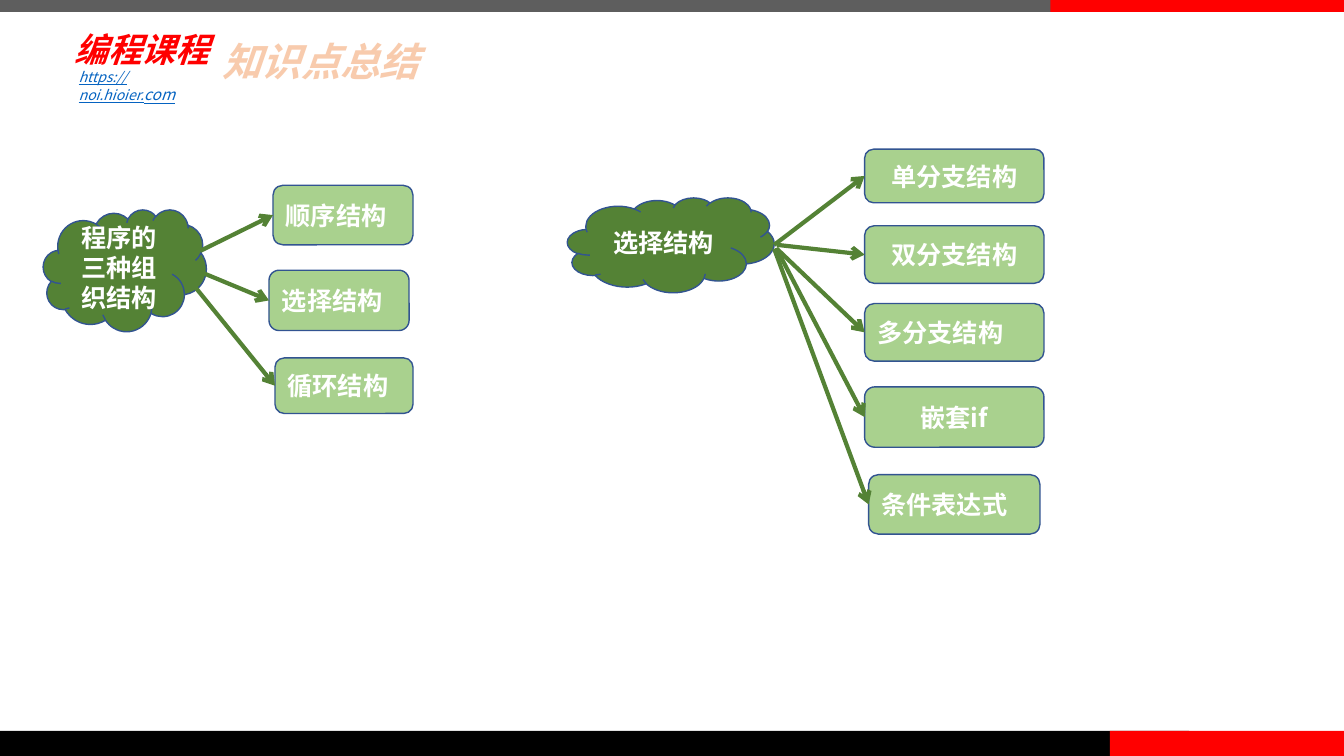
"""Build the summary slide on program structures and branch forms."""
from typing import NamedTuple

from lxml import etree
from pptx import Presentation
from pptx.dml.color import RGBColor
from pptx.enum import shapes, text
from pptx.oxml import ns
from pptx.util import Cm, Pt

GREEN = RGBColor(0x54, 0x82, 0x35)
LIGHT = RGBColor(0xA9, 0xD1, 0x8E)
NAVY = RGBColor(0x32, 0x54, 0x91)
WHITE = RGBColor(0xFF, 0xFF, 0xFF)
PEACH = RGBColor(0xF8, 0xCB, 0xAD)
ORANGE = RGBColor(0xED, 0x7D, 0x31)
GREY = RGBColor(0x5E, 0x5E, 0x5E)
BLACK = RGBColor(0, 0, 0)
RED = RGBColor(0xFF, 0, 0)
LINK = RGBColor(0x05, 0x63, 0xC1)
SANS = "Noto Sans CJK SC"
KIND = shapes.MSO_SHAPE
LEFT, MID = text.PP_ALIGN.LEFT, text.PP_ALIGN.CENTER


class Rect(NamedTuple):
    x: float
    y: float
    w: float
    h: float


class Leaf(NamedTuple):
    label: str
    rect: Rect
    start: tuple[float, float]
    align: text.PP_ALIGN


class Tree(NamedTuple):
    label: str
    rect: Rect
    leaves: list[Leaf]


class Bar(NamedTuple):
    rect: Rect
    color: RGBColor


TREES = [
    Tree("程序的三种组织结构", Rect(1.09, 5.28, 4.11, 3.07), [
        Leaf("顺序结构", Rect(6.88, 4.67, 3.53, 1.5), (5.05, 6.32), LEFT),
        Leaf("选择结构", Rect(6.78, 6.81, 3.53, 1.52), (4.95, 6.81), LEFT),
        Leaf("循环结构", Rect(6.93, 9.02, 3.48, 1.4), (4.9, 7.21), LEFT),
    ]),
    Tree("选择结构", Rect(14.3, 4.98, 5.21, 2.39), [
        Leaf("单分支结构", Rect(21.79, 3.76, 4.52, 1.35), (19.51, 6.17), MID),
        Leaf("双分支结构", Rect(21.79, 5.69, 4.52, 1.45), (19.58, 6.17), MID),
        Leaf("多分支结构", Rect(21.79, 7.65, 4.52, 1.45), (19.58, 6.27), LEFT),
        Leaf("嵌套if", Rect(21.79, 9.75, 4.52, 1.52), (19.56, 6.25), MID),
        Leaf("条件表达式", Rect(21.89, 11.96, 4.32, 1.5), (19.51, 6.27), LEFT),
    ]),
]
BARS = [
    Bar(Rect(0, 0, 27.46, 0.3), GREY),
    Bar(Rect(0, 18.42, 29.97, 0.63), BLACK),
    Bar(Rect(27.97, 18.42, 5.9, 0.63), RED),
    Bar(Rect(26.47, 0, 7.4, 0.3), RED),
]


def place(rect: Rect) -> list[Cm]:
    return [Cm(side) for side in rect]


def write(para, words: str, size: float = 18, color: RGBColor = WHITE,
          face: str = SANS, bold: bool = True, slant: bool = False,
          under: bool = False, align: text.PP_ALIGN = LEFT):
    para.alignment = align
    run = para.add_run()
    run.text = words
    font = run.font
    font.size, font.name = Pt(size), face
    font.bold, font.italic, font.underline = bold, slant, under
    font.color.rgb = color
    east = etree.Element(ns.qn("a:ea"), typeface=face)
    font._element.find(ns.qn("a:latin")).addnext(east)
    return run


def shape(slide, kind: KIND, rect: Rect, fill: RGBColor, edge: RGBColor | None = None):
    form = slide.shapes.add_shape(kind, *place(rect))
    form.shadow.inherit = False
    form.fill.solid()
    form.fill.fore_color.rgb = fill
    if edge is None:
        form.line.fill.background()
    else:
        form.line.color.rgb = edge
        form.line.width = Pt(1)
    return form


def node(slide, kind: KIND, rect: Rect, fill: RGBColor, label: str, align: text.PP_ALIGN) -> None:
    frame = shape(slide, kind, rect, fill, NAVY).text_frame
    frame.word_wrap = True
    frame.vertical_anchor = text.MSO_ANCHOR.MIDDLE
    write(frame.paragraphs[0], label, align=align)


def arrow(slide, start: tuple[float, float], end: tuple[float, float]) -> None:
    ends = [Cm(side) for side in start + end]
    line = slide.shapes.add_connector(shapes.MSO_CONNECTOR.STRAIGHT, *ends)
    line.line.color.rgb = GREEN
    line.line.width = Pt(3)
    etree.SubElement(line.line._get_or_add_ln(), ns.qn("a:tailEnd"), type="arrow")
    etree.SubElement(line._element.spPr, ns.qn("a:effectLst"))


def tree(slide, item: Tree) -> None:
    node(slide, KIND.CLOUD, item.rect, GREEN, item.label, MID)
    for leaf in item.leaves:
        box = leaf.rect
        node(slide, KIND.ROUNDED_RECTANGLE, box, LIGHT, leaf.label, leaf.align)
        arrow(slide, leaf.start, (box.x, box.y + box.h / 2))


def title(slide) -> None:
    head = slide.shapes.title
    head.left, head.top, head.width, head.height = place(Rect(5.36, 0.66, 8.48, 1.88))
    frame = head.text_frame
    frame.word_wrap = True
    frame.auto_size = text.MSO_AUTO_SIZE.NONE
    frame.vertical_anchor = text.MSO_ANCHOR.MIDDLE
    para = frame.paragraphs[0]
    para.line_spacing = 0.9
    run = write(para, "知识点总结", size=28, color=PEACH, slant=True)
    edge = etree.Element(ns.qn("a:ln"), w=str(Pt(1.75)))
    fill = etree.SubElement(edge, ns.qn("a:solidFill"))
    etree.SubElement(fill, ns.qn("a:srgbClr"), val=str(ORANGE))
    run.font._element.insert(0, edge)


def label(slide, rect: Rect):
    frame = slide.shapes.add_textbox(*place(rect)).text_frame
    frame.word_wrap = True
    frame.auto_size = text.MSO_AUTO_SIZE.SHAPE_TO_FIT_TEXT
    return frame


def brand(slide) -> None:
    name = label(slide, Rect(1.73, 0.58, 4.7, 1.32))
    name.vertical_anchor = text.MSO_ANCHOR.MIDDLE
    name.margin_left = name.margin_right = Cm(0.15)
    name.margin_top = name.margin_bottom = Cm(0.15)
    write(name.paragraphs[0], "编程课程", size=24, color=RED, face="Roboto", slant=True)
    site = label(slide, Rect(1.73, 1.6, 4.06, 0.74)).paragraphs[0]
    for words, size in (("https://noi.hioier.", 10), ("com", 11)):
        write(site, words, size=size, color=LINK, bold=False, slant=True, under=True)


def main() -> None:
    deck = Presentation()
    deck.slide_width, deck.slide_height = Cm(33.87), Cm(19.05)
    slide = deck.slides.add_slide(deck.slide_layouts[5])
    title(slide)
    for item in TREES:
        tree(slide, item)
    for bar in BARS:
        shape(slide, KIND.RECTANGLE, bar.rect, bar.color)
    brand(slide)
    deck.save("out.pptx")


if __name__ == "__main__":
    main()
